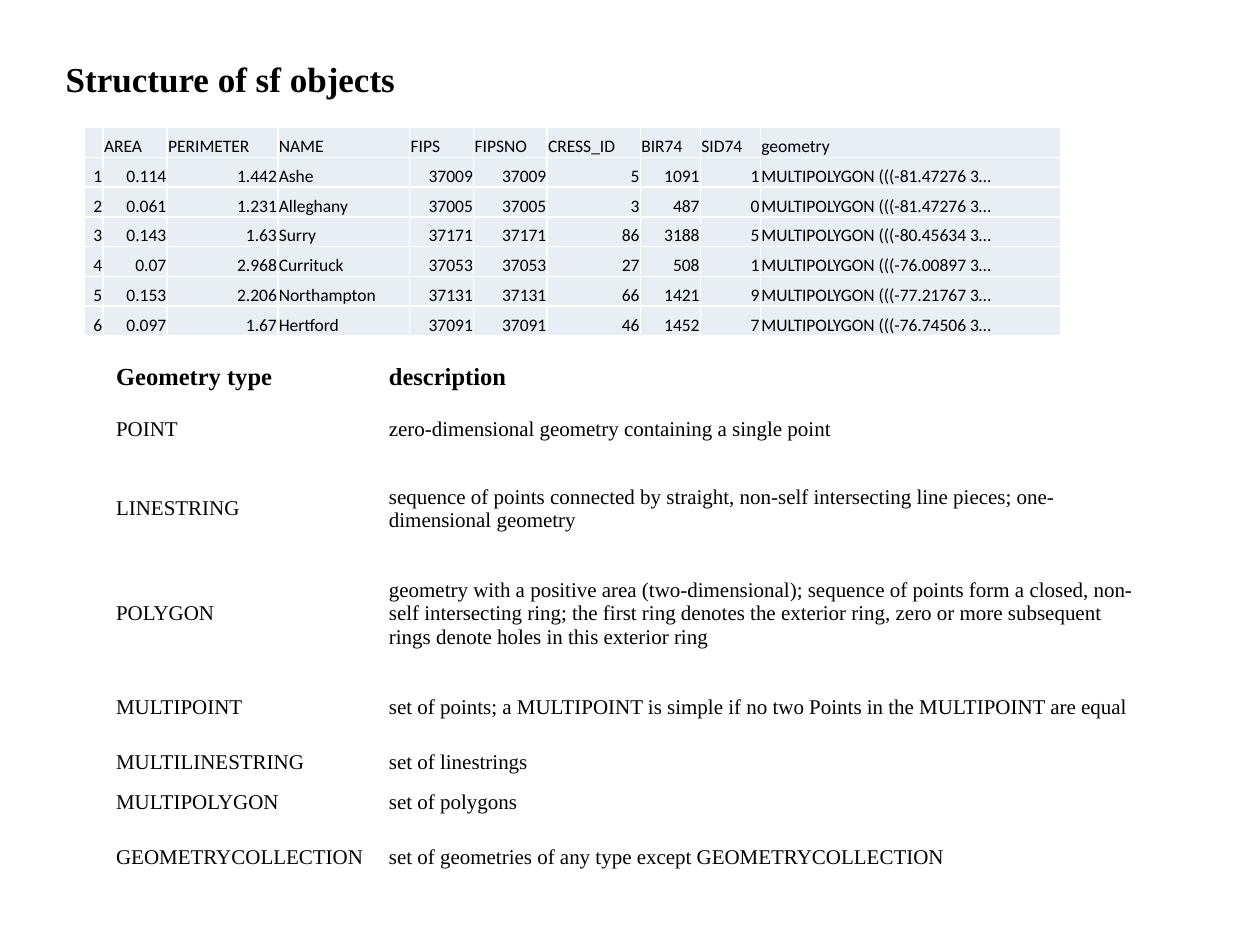
from lxml.etree import SubElement
from pptx import Presentation
from pptx.dml.color import RGBColor
from pptx.enum.text import MSO_ANCHOR, MSO_AUTO_SIZE, PP_ALIGN
from pptx.oxml.ns import qn
from pptx.util import Cm, Pt

SERIF = "Times New Roman"
SANS = "Calibri"


def write_text(text_frame, text, font=SERIF, size=12, bold=False, color="000000", align=PP_ALIGN.LEFT):
    paragraph = text_frame.paragraphs[0]
    paragraph.alignment = align
    if not text:
        # Keeps an empty cell from growing to the default text size
        SubElement(paragraph._p, qn("a:endParaRPr"), sz=str(size * 100))
        return
    run = paragraph.add_run()
    run.text = text
    run.font.name = font
    run.font.size = Pt(size)
    run.font.bold = bold
    run.font.color.rgb = RGBColor.from_string(color)


def add_plain_table(left, top, widths, heights, margins, anchor, fill=None, border=None):
    """Add an unbanded table; margins are left, top, right, bottom and all lengths are in cm."""
    table = slide.shapes.add_table(
        len(heights), len(widths), Cm(left), Cm(top), Cm(sum(widths)), Cm(sum(heights))
    ).table
    table.first_row = table.horz_banding = False
    for column, width in zip(table.columns, widths):
        column.width = Cm(width)
    for row, height in zip(table.rows, heights):
        row.height = Cm(height)
    for cell in table.iter_cells():
        cell.margin_left, cell.margin_top, cell.margin_right, cell.margin_bottom = map(Cm, margins)
        cell.vertical_anchor = anchor
        properties = cell._tc.get_or_add_tcPr()
        for side in ("lnL", "lnR", "lnT", "lnB"):
            line = SubElement(properties, qn(f"a:{side}"), w=str(Pt(1)))
            if border:
                SubElement(SubElement(line, qn("a:solidFill")), qn("a:srgbClr"), val=border)
            else:
                SubElement(line, qn("a:noFill"))
        if fill:
            cell.fill.solid()
            cell.fill.fore_color.rgb = RGBColor.from_string(fill)
        else:
            cell.fill.background()
    return table


presentation = Presentation()
presentation.slide_width = Cm(25.4)
presentation.slide_height = Cm(19.05)
slide = presentation.slides.add_slide(presentation.slide_layouts[5])

# Title
title = slide.shapes.title
title.left, title.top, title.width, title.height = Cm(1.07), Cm(1.04), Cm(7.19), Cm(1.12)
title.text_frame.word_wrap = False
title.text_frame.auto_size = MSO_AUTO_SIZE.SHAPE_TO_FIT_TEXT
title.text_frame.vertical_anchor = MSO_ANCHOR.TOP
write_text(title.text_frame, "Structure of sf objects", size=20, bold=True)

# Geometry types and their descriptions
geometry_types = [
    ("Geometry type", "description"),
    ("POINT", "zero-dimensional geometry containing a single point"),
    ("LINESTRING", "sequence of points connected by straight, non-self intersecting line pieces; "
                   "one-dimensional geometry"),
    ("POLYGON", "geometry with a positive area (two-dimensional); sequence of points form a closed, "
                "non-self intersecting ring; the first ring denotes the exterior ring, zero or more "
                "subsequent rings denote holes in this exterior ring"),
    ("MULTIPOINT", "set of points; a MULTIPOINT is simple if no two Points in the MULTIPOINT are equal"),
    ("MULTILINESTRING", "set of linestrings"),
    ("MULTIPOLYGON", "set of polygons"),
    ("GEOMETRYCOLLECTION", "set of geometries of any type except GEOMETRYCOLLECTION"),
]
type_table = add_plain_table(
    2.11, 7.19, [5.5, 15.66], [0.81, 1.3, 1.9, 2.34, 1.42, 0.81, 0.81, 1.42],
    margins=(0.23, 0.11, 0.23, 0.11), anchor=MSO_ANCHOR.MIDDLE,
)
for row_index, row in enumerate(geometry_types):
    is_header = row_index == 0
    for column_index, text in enumerate(row):
        write_text(type_table.cell(row_index, column_index).text_frame, text,
                   size=14 if is_header else 12, bold=is_header)

# County records with their geometry column
headers = ["", "AREA", "PERIMETER", "NAME", "FIPS", "FIPSNO", "CRESS_ID", "BIR74", "SID74", "geometry"]
counties = [
    ("0.114", "1.442", "Ashe", "37009", "5", "1091", "1", "-81.47276"),
    ("0.061", "1.231", "Alleghany", "37005", "3", "487", "0", "-81.47276"),
    ("0.143", "1.63", "Surry", "37171", "86", "3188", "5", "-80.45634"),
    ("0.07", "2.968", "Currituck", "37053", "27", "508", "1", "-76.00897"),
    ("0.153", "2.206", "Northampton", "37131", "66", "1421", "9", "-77.21767"),
    ("0.097", "1.67", "Hertford", "37091", "46", "1452", "7", "-76.74506"),
]
records = [headers]
for number, (area, perimeter, name, fips, cress_id, births, deaths, longitude) in enumerate(counties, 1):
    records.append([str(number), area, perimeter, name, fips, fips, cress_id, births, deaths,
                    f"MULTIPOLYGON ((({longitude} 3…"])

record_table = add_plain_table(
    1.7, 2.57, [0.38, 1.29, 2.23, 2.66, 1.29, 1.48, 1.88, 1.21, 1.21, 6.06], [0.6] * len(records),
    margins=(0.02, 0.02, 0.02, 0), anchor=MSO_ANCHOR.BOTTOM, fill="E9EDF4", border="FFFFFF",
)
for row_index, record in enumerate(records):
    for column_index, text in enumerate(record):
        is_number = row_index > 0 and headers[column_index] not in ("NAME", "geometry")
        write_text(record_table.cell(row_index, column_index).text_frame, text, font=SANS, size=10,
                   align=PP_ALIGN.RIGHT if is_number else PP_ALIGN.LEFT)

presentation.save("out.pptx")
